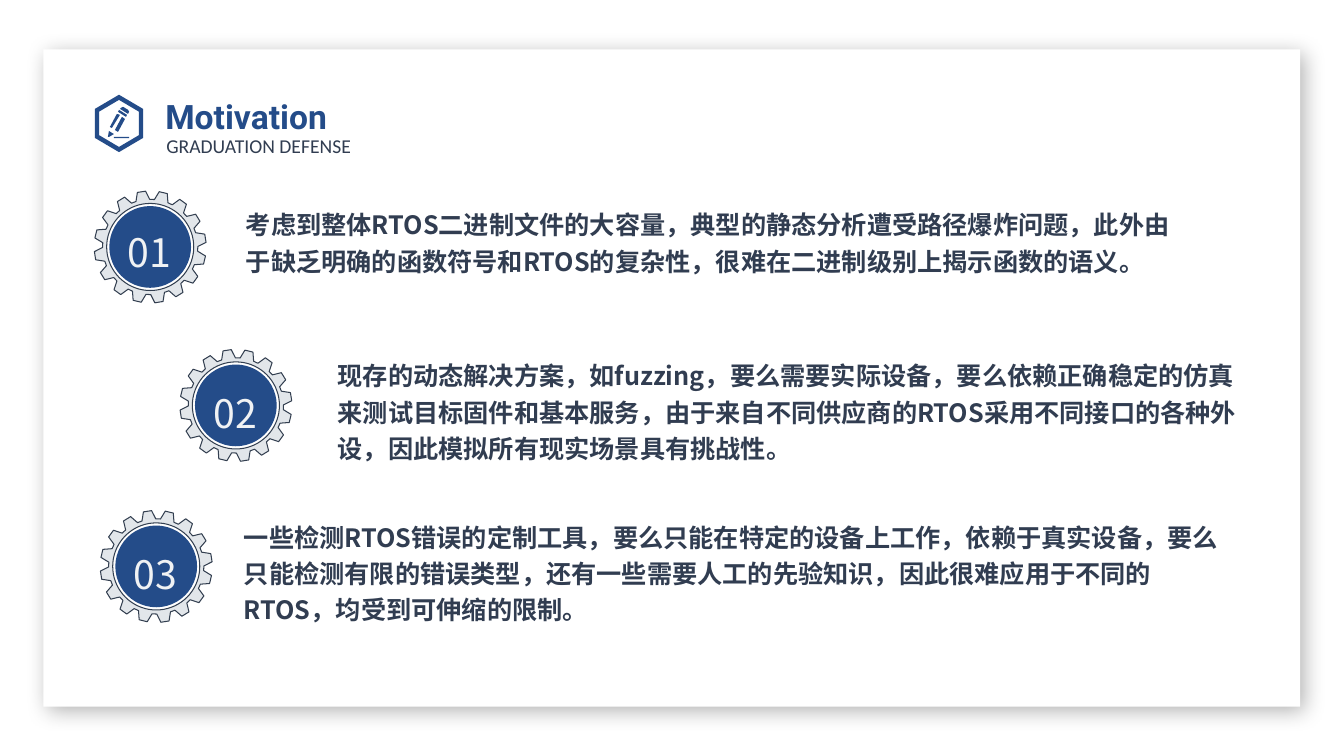
import math

import lxml.etree
import pptx
import pptx.dml.color
import pptx.enum.shapes
import pptx.enum.text
import pptx.oxml
import pptx.oxml.ns
import pptx.util

Pt = pptx.util.Pt
RGBColor = pptx.dml.color.RGBColor
ALIGN = pptx.enum.text.PP_ALIGN
AUTO_SIZE = pptx.enum.text.MSO_AUTO_SIZE
PRESET = pptx.enum.shapes.MSO_SHAPE

WHITE = RGBColor(0xFF, 0xFF, 0xFF)
BLUE = RGBColor(0x24, 0x4C, 0x89)
INK = RGBColor(0x31, 0x3D, 0x51)
GEAR_FILL = RGBColor(0xE2, 0xE6, 0xEA)
GEAR_LINE = RGBColor(0x33, 0x3F, 0x50)
NUMBER = RGBColor(0xF0, 0xF2, 0xF4)

CJK = "Noto Sans CJK SC"
TITLE_FONT = {"name": "Roboto", "size": Pt(24), "bold": True}
SUBTITLE_FONT = {"name": "Calibri", "size": Pt(14)}
BODY_FONT = {"name": CJK, "size": Pt(18), "bold": True}
NUMBER_FONT = {"name": CJK, "size": Pt(28)}

GEAR_SIZE = 79.2
TEETH = 16

# Outlines of the pencil badge, in points from its top left corner
BADGE_OUTLINES = [
    [(17.3, 0), (34.6, 10.2), (34.6, 30.8), (17.3, 41), (0, 30.8), (0, 10.2)],
    [(17.3, 3.7), (31.5, 12.1), (31.5, 28.9), (17.3, 37.3), (3.1, 28.9), (3.1, 12.1)],
    [(13.7, 30.2), (24.5, 30.2), (24.5, 31), (13.7, 31)],
    [(14.4, 25.2), (19.4, 15.8), (21.6, 17.3), (16.6, 26.6)],
    [(10.8, 23), (15.8, 13.7), (18, 14.4), (12.2, 23.8)],
    [(9.4, 30.2), (10.1, 25.9), (13.7, 28.1), (10.1, 30.2)],
    [(17.3, 10.8), (16.6, 12.2), (22.3, 15.8), (23, 14.4)],
    [(18.7, 9.4), (20.2, 8.6), (23.8, 10.8), (24.5, 12.2), (23.8, 13.7), (18, 10.1)],
]

# Number, gear corner, drop of the number, text box, text
STEPS = [
    ("01", (67.7, 136.8), 16, (175.7, 145.4, 671, 50.4),
     "考虑到整体RTOS二进制文件的大容量，典型的静态分析遭受路径爆炸问题，此外由于缺乏明确的函数符号和RTOS的复杂性，很难在二进制级别上揭示函数的语义。"),
    ("02", (128.9, 250), 18, (241.2, 253.4, 652.3, 76.3),
     "现存的动态解决方案，如fuzzing，要么需要实际设备，要么依赖正确稳定的仿真来测试目标固件和基本服务，由于来自不同供应商的RTOS采用不同接口的各种外设，因此模拟所有现实场景具有挑战性。"),
    ("03", (72, 365), 18, (174.2, 368.6, 712.8, 76.3),
     "一些检测RTOS错误的定制工具，要么只能在特定的设备上工作，依赖于真实设备，要么只能检测有限的错误类型，还有一些需要人工的先验知识，因此很难应用于不同的RTOS，均受到可伸缩的限制。"),
]


def paint(shape, fill, line=None):
    shape.shadow.inherit = False
    shape.fill.solid()
    shape.fill.fore_color.rgb = fill
    if line is None:
        shape.line.fill.background()
    else:
        shape.line.color.rgb = line
        shape.line.width = Pt(0.75)


def write(shape, text, font, color, spacing=1.2, align=ALIGN.LEFT, frame=None):
    text_frame = shape.text_frame
    frame_format = {"word_wrap": True, "auto_size": AUTO_SIZE.NONE,
                    "vertical_anchor": pptx.enum.text.MSO_ANCHOR.TOP}
    for name, value in (frame_format | (frame or {})).items():
        setattr(text_frame, name, value)
    paragraph = text_frame.paragraphs[0]
    paragraph.line_spacing = spacing
    paragraph.alignment = align
    run = paragraph.add_run()
    run.text = text
    for name, value in font.items():
        setattr(run.font, name, value)
    run.font.color.rgb = color
    east_asian = lxml.etree.SubElement(run.font._element, pptx.oxml.ns.qn("a:ea"))
    east_asian.set("typeface", font["name"])


def insets(bottom=0):
    return {"margin_left": 0, "margin_top": 0, "margin_right": 0, "margin_bottom": Pt(bottom)}


def add_outlines(shapes, left, top, outlines):
    """Join closed outlines into one shape; an inner outline makes a hole."""
    builder = None
    for outline in outlines:
        points = [(Pt(x), Pt(y)) for x, y in outline]
        if builder is None:
            builder = shapes.build_freeform(*points[0])
        else:
            builder.move_to(*points[0])
        builder.add_line_segments(points[1:], close=True)
    return builder.convert_to_shape(Pt(left), Pt(top))


def polar(radius, degrees):
    angle = math.radians(degrees)
    return radius * math.cos(angle), radius * math.sin(angle)


def add_card(slide, left, top, width, height):
    card = slide.shapes.add_shape(PRESET.RECTANGLE, Pt(left), Pt(top), Pt(width), Pt(height))
    paint(card, WHITE)
    properties = card._element.spPr
    properties.remove(properties.find(pptx.oxml.ns.qn("a:effectLst")))
    properties.append(pptx.oxml.parse_xml(
        f'<a:effectLst {pptx.oxml.ns.nsdecls("a")}>'
        f'<a:outerShdw blurRad="{Pt(15)}" dist="{Pt(5)}" dir="2700000" algn="tl" rotWithShape="0">'
        '<a:srgbClr val="000000"><a:alpha val="30000"/></a:srgbClr>'
        '</a:outerShdw></a:effectLst>'))
    # Send the card behind the title placeholder
    slide.shapes._spTree.insert(2, card._element)


def add_heading(slide, left, top):
    # Pencil badge
    paint(add_outlines(slide.shapes, left, top, BADGE_OUTLINES), BLUE)
    # Subtitle
    subtitle = slide.shapes.add_textbox(Pt(left + 51.1), Pt(top + 21.6), Pt(156.2), Pt(24.5))
    write(subtitle, "GRADUATION DEFENSE", SUBTITLE_FONT, INK, Pt(23), frame=insets(3.6))
    # Title
    title = slide.shapes.title
    box = {"left": left + 43.2, "top": top - 8.7, "width": 285.8, "height": 36}
    for name, value in box.items():
        setattr(title, name, Pt(value))
    write(title, "Motivation", TITLE_FONT, BLUE)


def add_gear(slide, left, top, number, drop):
    shapes = slide.shapes.add_group_shape().shapes
    center_x, center_y = left + GEAR_SIZE / 2, top + GEAR_SIZE / 2

    # Toothed ring: each tooth is a trapezoid around its middle angle
    profile = [(34, -8.4), (40, -4.25), (40, 4.25), (34, 8.4)]
    rim = [polar(radius, 13.5 + 360 / TEETH * tooth + offset)
           for tooth in range(TEETH) for radius, offset in profile]
    hole = [polar(31.1, degrees) for degrees in range(0, 360, 5)]
    paint(add_outlines(shapes, center_x, center_y, [rim, hole]), GEAR_FILL, GEAR_LINE)

    # Disc
    radius = 29.2
    disc = shapes.add_shape(PRESET.OVAL, Pt(center_x - radius), Pt(center_y - radius),
                            Pt(2 * radius), Pt(2 * radius))
    paint(disc, BLUE)

    # Number
    label = shapes.add_textbox(Pt(left + 15.3), Pt(top + drop), Pt(47.5), Pt(44.6))
    write(label, number, NUMBER_FONT, NUMBER, align=ALIGN.CENTER, frame={"word_wrap": False})


def add_step(slide, number, corner, drop, text_box, text):
    add_gear(slide, *corner, number, drop)
    body = slide.shapes.add_textbox(*[Pt(length) for length in text_box])
    write(body, text, BODY_FONT, INK, frame=insets())


def main():
    presentation = pptx.Presentation()
    presentation.slide_width = Pt(960)
    presentation.slide_height = Pt(540)
    slide = presentation.slides.add_slide(presentation.slide_layouts[5])
    add_card(slide, 31, 35.3, 897.8, 469.4)
    add_heading(slide, 67.7, 67.7)
    for step in STEPS:
        add_step(slide, *step)
    presentation.save("out.pptx")


if __name__ == "__main__":
    main()
